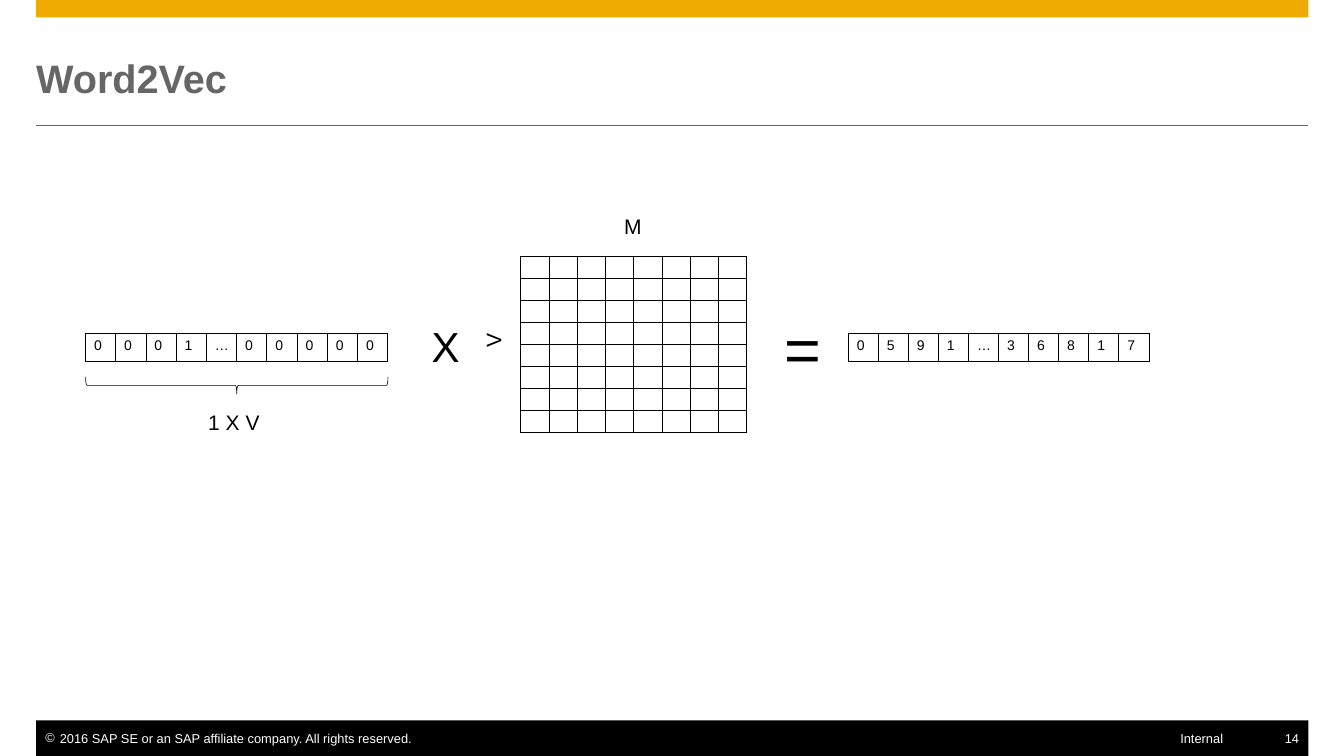
from lxml.etree import SubElement
from pptx import Presentation
from pptx.dml.color import RGBColor
from pptx.enum.shapes import MSO_CONNECTOR as Connector, MSO_SHAPE as Shape
from pptx.enum.text import MSO_ANCHOR as Anchor, PP_ALIGN as Align
from pptx.oxml.ns import qn
from pptx.util import Pt

GOLD = RGBColor(0xF0, 0xAB, 0x00)
GREY = RGBColor(0x66, 0x66, 0x66)
BLACK = RGBColor(0x00, 0x00, 0x00)
WHITE = RGBColor(0xFF, 0xFF, 0xFF)
FONT = "Arial"
EDGE, BODY_WIDTH = 31, 1090.5


def points(*lengths):
    return [Pt(length) for length in lengths]


def format_text(frame, text, size=18, color=BLACK, bold=False, align=Align.LEFT,
                anchor=Anchor.TOP, insets=(0, 0, 0, 0), bullet=None):
    frame.word_wrap = True
    frame.vertical_anchor = anchor
    (frame.margin_left, frame.margin_top,
     frame.margin_right, frame.margin_bottom) = points(*insets)
    para = frame.paragraphs[0]
    para.alignment = align
    if bullet:
        properties = para._p.get_or_add_pPr()
        properties.set("marL", str(Pt(12.25)))
        properties.set("indent", str(Pt(-12.25)))
        tint = SubElement(properties, qn("a:buClr"))
        SubElement(tint, qn("a:srgbClr"), val=str(color))
        SubElement(properties, qn("a:buFont"), typeface=FONT)
        SubElement(properties, qn("a:buChar"), char=bullet)
    span = para.add_run()
    span.text = text
    span.font.name = FONT
    span.font.size = Pt(size)
    span.font.bold = bold
    span.font.color.rgb = color


def add_label(page, text, box, rotation=0, **style):
    label = page.shapes.add_textbox(*points(*box))
    label.rotation = rotation
    format_text(label.text_frame, text, **style)


def add_bar(page, box, color):
    bar = page.shapes.add_shape(Shape.RECTANGLE, *points(*box))
    bar.shadow.inherit = False
    bar.fill.solid()
    bar.fill.fore_color.rgb = color
    bar.line.fill.background()


def add_header(page, box):
    left, top, width, height = box
    add_bar(page, (left, top, width, 15), GOLD)
    rule = page.shapes.add_connector(
        Connector.STRAIGHT, *points(left, top + height, left + width, top + height))
    SubElement(rule._element.spPr, qn("a:effectLst"))
    rule.line.color.rgb = GREY
    rule.line.width = Pt(0.5)
    title = page.shapes.title
    title.left, title.top, title.width, title.height = points(left, top + 31, width, 71.5)
    format_text(title.text_frame, "Word2Vec", size=34, color=GREY, bold=True,
                anchor=Anchor.MIDDLE)


def add_footer(page, box):
    left, top, width, height = box
    add_bar(page, box, BLACK)
    style = dict(size=11, color=WHITE)
    text_top, right = top + 8.75, left + width
    add_label(page, "2016 SAP SE or an SAP affiliate company. All rights reserved.",
              (left, text_top, 327, 14), insets=(8, 0, 0, 0), bullet="©", **style)
    add_label(page, "Internal", (right - 192, text_top, 119, 14), align=Align.RIGHT, **style)
    add_label(page, "14", (right - 22, text_top, 22, 14), align=Align.RIGHT,
              insets=(0, 0, 8, 0), **style)


def add_border(cell):
    properties = cell._tc.get_or_add_tcPr()
    for side in ("a:lnL", "a:lnR", "a:lnT", "a:lnB"):
        line = SubElement(properties, qn(side), w=str(Pt(1)))
        fill = SubElement(line, qn("a:solidFill"))
        SubElement(fill, qn("a:srgbClr"), val=str(BLACK))
    cell.fill.background()


def add_grid(page, box, rows):
    width, height = box[2:]
    grid = page.shapes.add_table(len(rows), len(rows[0]), *points(*box)).table
    grid.first_row = grid.horz_banding = False
    for column in grid.columns:
        column.width = Pt(width / len(rows[0]))
    for row, values in zip(grid.rows, rows):
        row.height = Pt(height / len(rows))
        for cell, value in zip(row.cells, values):
            add_border(cell)
            if value:
                format_text(cell.text_frame, value, size=12, insets=(7.2, 3.6, 7.2, 3.6))
            else:
                SubElement(cell.text_frame.paragraphs[0]._p, qn("a:endParaRPr"), sz="800")


def add_input_vector(page, box):
    left, top, width, height = box
    add_grid(page, box, ["0001…00000"])
    depth = 14.4
    center_x, center_y = left + width / 2, top + height + 20.2
    brace = page.shapes.add_shape(
        Shape.LEFT_BRACE,
        *points(center_x - depth / 2, center_y - width / 2, depth, width))
    brace.rotation = 270
    brace.shadow.inherit = False
    brace.fill.background()
    brace.line.color.rgb = BLACK
    brace.line.width = Pt(0.5)
    add_label(page, "1 X V", (center_x - 24.5, top + 65.5, 50.4, 21.6))


def add_matrix(page, box):
    left, top, width, height = box
    add_grid(page, box, [[""] * 8] * 8)
    add_label(page, "M", (left + 88.5, top - 36.7, 50.4, 21.6))
    add_label(page, "V", (left - 49, top + 42.5, 50.4, 21.6), rotation=270)


def add_product(page, box):
    left, top, width, height = box
    add_input_vector(page, (left, top + 66, 259.2, 24.5))
    add_label(page, "X", (left + 296.6, top + 55.4, 21.6, 44), size=36)
    add_matrix(page, (left + 373, top, 193.7, 151.2))
    add_label(page, "=", (left + 599, top + 45.4, 44.6, 65.5), size=54)
    add_grid(page, (left + width - 257.8, top + 66, 257.8, 24.5), ["0591…36817"])


def main():
    deck = Presentation()
    deck.slide_width, deck.slide_height = points(1152, 648)
    page = deck.slides.add_slide(deck.slide_layouts[5])
    add_header(page, (EDGE, 0, BODY_WIDTH, 107.3))
    add_product(page, (73.4, 219.6, 911.6, 151.2))
    add_footer(page, (EDGE, 617.5, BODY_WIDTH, 30.5))
    deck.save("out.pptx")


if __name__ == "__main__":
    main()
